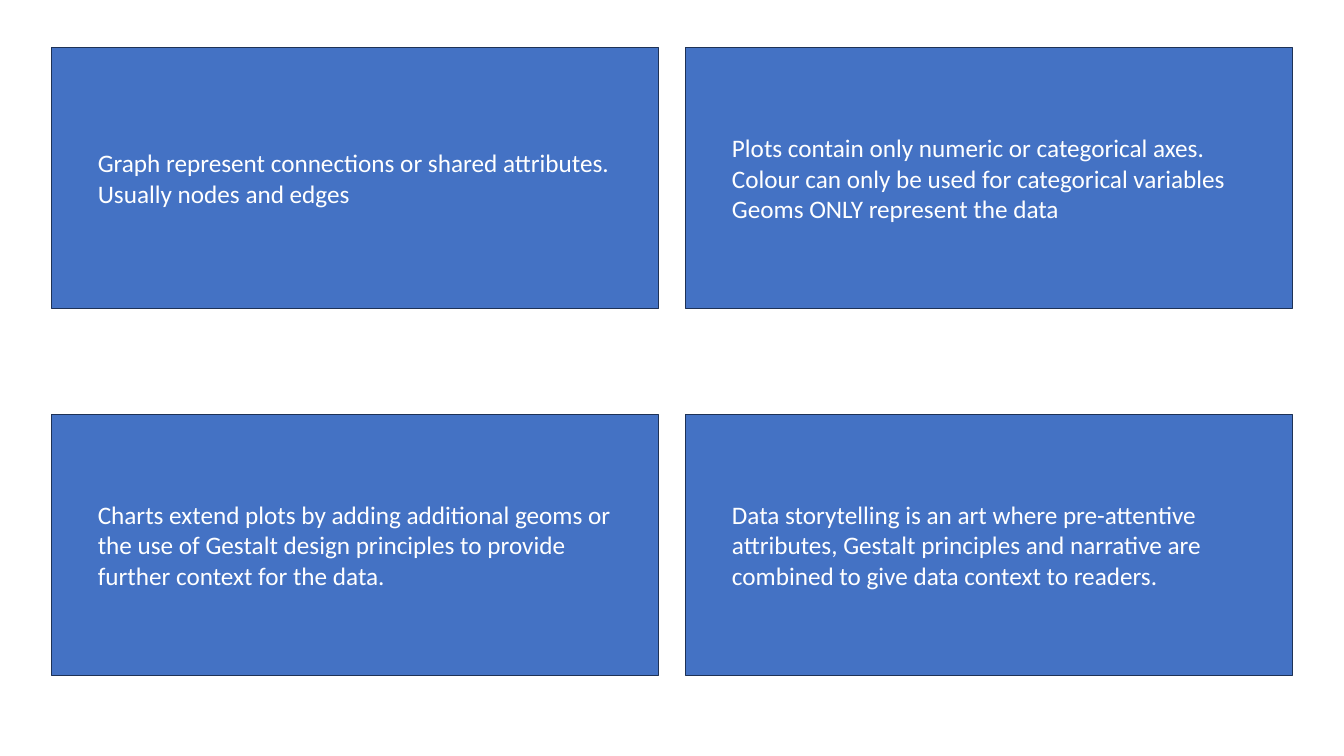
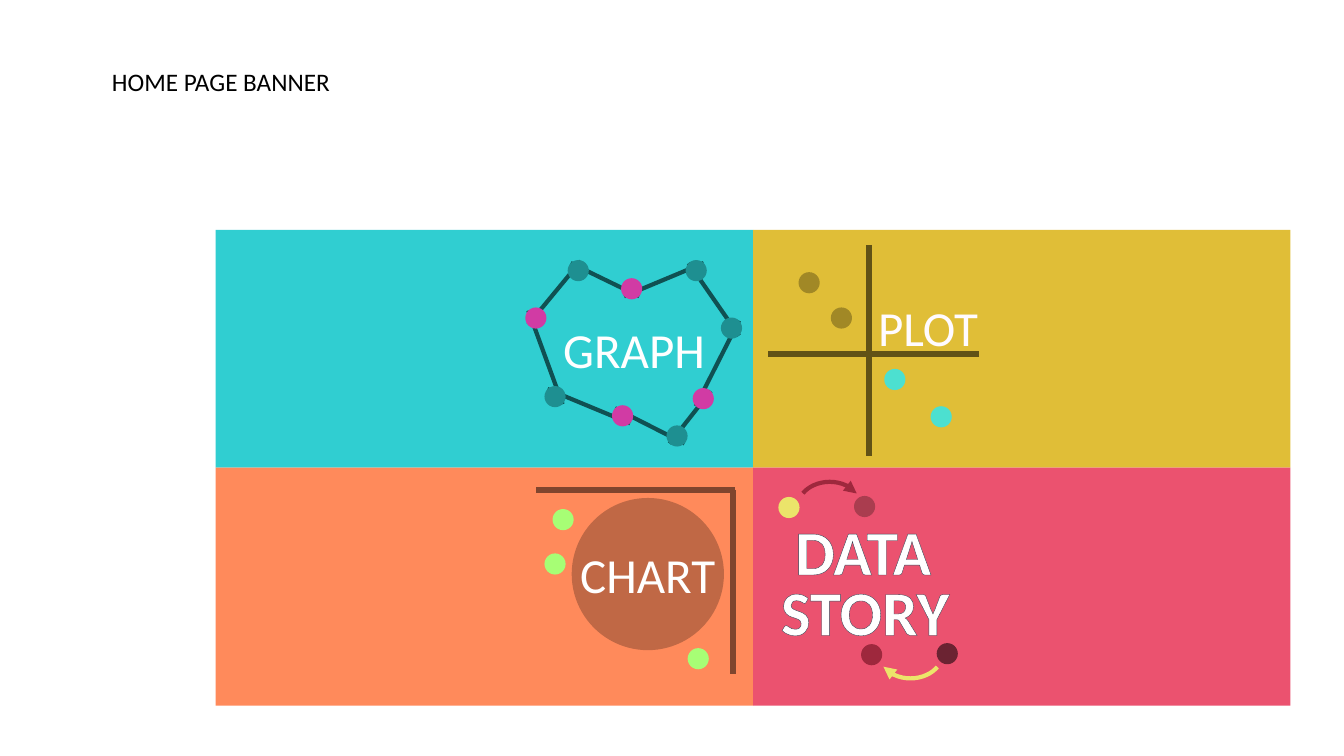
from lxml import etree
from pptx import Presentation
from pptx import util as u
from pptx.dml.color import RGBColor
from pptx.enum import dml, shapes, text
from pptx.oxml import ns

SCALE = 9144
FONT = "Calibri"
WHITE = RGBColor(0xFF, 0xFF, 0xFF)
PLOT_WHITE = RGBColor(0xFF, 0xFB, 0xFF)
BLACK = RGBColor(0x00, 0x00, 0x00)
CARD_BLUE = RGBColor(0x44, 0x72, 0xC4)
CARD_BORDER = RGBColor(0x1E, 0x32, 0x56)
TURQUOISE = RGBColor(0x30, 0xCE, 0xD1)
ORANGE = RGBColor(0xFF, 0x8A, 0x5B)
CORAL = RGBColor(0xEB, 0x52, 0x6F)
GOLD = RGBColor(0xE0, 0xBE, 0x37)
EDGE_TEAL = RGBColor(0x10, 0x50, 0x52)
NODE_TEAL = RGBColor(0x1E, 0x8F, 0x91)
NODE_PINK = RGBColor(0xD1, 0x3B, 0xA4)
AXIS_OLIVE = RGBColor(0x61, 0x52, 0x16)
POINT_OLIVE = RGBColor(0xA1, 0x88, 0x26)
POINT_AQUA = RGBColor(0x4C, 0xE0, 0xD0)
AXIS_BROWN = RGBColor(0x80, 0x45, 0x2E)
DISC_BROWN = RGBColor(0xC0, 0x68, 0x45)
POINT_LIME = RGBColor(0xA7, 0xFE, 0x75)
STORY_RED = RGBColor(0x9E, 0x28, 0x3D)
STORY_ROSE = RGBColor(0xAA, 0x3D, 0x4F)
STORY_WINE = RGBColor(0x6B, 0x23, 0x32)
STORY_YELLOW = RGBColor(0xEB, 0xE4, 0x6A)
ARROW_YELLOW = RGBColor(0xEC, 0xE4, 0x6A)
OUTLINE = RGBColor(0x33, 0x3F, 0x50)

LEFT = text.PP_ALIGN.LEFT
CENTER = text.PP_ALIGN.CENTER
TOP = text.MSO_ANCHOR.TOP
MIDDLE = text.MSO_ANCHOR.MIDDLE
RECTANGLE = shapes.MSO_SHAPE.RECTANGLE
OVAL = shapes.MSO_SHAPE.OVAL
TITLE_ONLY, BLANK = 5, 6
DOT = 21


def px(*lengths):
    return [u.Emu(length * SCALE) for length in lengths]


class Deck:
    def __init__(self):
        self.presentation = Presentation()
        self.presentation.slide_width = u.Inches(13.33)
        self.presentation.slide_height = u.Inches(7.5)
        self.slide = None

    def new_slide(self, layout):
        layouts = self.presentation.slide_layouts
        self.slide = self.presentation.slides.add_slide(layouts[layout])

    def set_text(self, shape, words, size, color, align=LEFT, anchor=TOP, bold=False):
        frame = shape.text_frame
        frame.text = words
        frame.word_wrap = True
        frame.vertical_anchor = anchor
        for paragraph in frame.paragraphs:
            paragraph.alignment = align
            for run in paragraph.runs:
                run.font.name = FONT
                run.font.size = u.Pt(size)
                run.font.bold = bold
                run.font.color.rgb = color
        return frame

    def title(self, box, words):
        title = self.slide.shapes.title
        title.left, title.top, title.width, title.height = px(*box)
        self.set_text(title, words, 18, BLACK)

    def shape(self, kind, box, fill):
        shape = self.slide.shapes.add_shape(kind, *px(*box))
        shape.shadow.inherit = False
        shape.fill.solid()
        shape.fill.fore_color.rgb = fill
        shape.line.fill.background()
        return shape

    def card(self, box, words):
        card = self.shape(RECTANGLE, box, CARD_BLUE)
        card.line.color.rgb = CARD_BORDER
        card.line.width = u.Pt(1)
        frame = self.set_text(card, words, 18, WHITE, anchor=MIDDLE)
        frame.margin_left, frame.margin_right = px(46, 46)

    def dots(self, color, places):
        for left, top in places:
            self.shape(OVAL, (left, top, DOT, DOT), color)

    def disc(self, box, words):
        disc = self.shape(OVAL, box, DISC_BROWN)
        frame = self.set_text(disc, words, 35, WHITE, CENTER, MIDDLE)
        frame.word_wrap = False
        frame.margin_left = frame.margin_right = 0
        frame.margin_top = frame.margin_bottom = 0

    def label(self, box, words, size=35, color=WHITE, bold=False):
        label = self.slide.shapes.add_textbox(*px(*box))
        return self.set_text(label, words, size, color, CENTER, bold=bold)

    def outlined_label(self, box, words):
        frame = self.label(box, words, 45, bold=True)
        font = frame.paragraphs[0].runs[0].font
        font.fill.patterned()
        font.fill.pattern = dml.MSO_PATTERN.WIDE_UPWARD_DIAGONAL
        font.fill.fore_color.rgb = STORY_ROSE
        font.fill.back_color.rgb = WHITE
        line = etree.Element(ns.qn("a:ln"), w=str(u.Pt(1)))
        solid = etree.SubElement(line, ns.qn("a:solidFill"))
        etree.SubElement(solid, ns.qn("a:srgbClr"), val=str(OUTLINE))
        properties = next(frame.paragraphs[0].runs[0].font.fill and
                          shape.iter(ns.qn("a:rPr"))
                          for shape in [self.slide.shapes[-1].element])
        next(properties).insert(0, line)

    def lines(self, color, width, ends):
        for points in ends:
            line = self.slide.shapes.add_connector(
                shapes.MSO_CONNECTOR.STRAIGHT, *px(*points))
            line.line.color.rgb = color
            line.line.width = u.Pt(width)
            etree.SubElement(line.element.spPr, ns.qn("a:effectLst"))

    def curved_arrow(self, box, color, rotation=0):
        arc = self.shape(shapes.MSO_SHAPE.ARC, box, color)
        arc.fill.background()
        arc.adjustments[0] = 124.85
        arc.adjustments[1] = 199.53
        arc.rotation = rotation
        arc.line.color.rgb = color
        arc.line.width = u.Pt(3)
        line = arc.element.spPr.find(ns.qn("a:ln"))
        etree.SubElement(line, ns.qn("a:tailEnd"), type="triangle")


def definitions(deck):
    deck.new_slide(BLANK)
    cards = [
        "Graph represent connections or shared attributes.\nUsually nodes and edges",
        "Plots contain only numeric or categorical axes.\n"
        "Colour can only be used for categorical variables\n"
        "Geoms ONLY represent the data",
        "Charts extend plots by adding additional geoms or the use of Gestalt "
        "design principles to provide further context for the data.",
        "Data storytelling is an art where pre-attentive attributes, Gestalt "
        "principles and narrative are combined to give data context to readers.",
    ]
    for index, words in enumerate(cards):
        row, column = divmod(index, 2)
        deck.card((51 + 629 * column, 47 + 364 * row, 602, 259), words)


def graph(deck):
    deck.label((519, 312, 220, 69), "GRAPH")
    deck.lines(EDGE_TEAL, 3, [
        (524, 322, 576, 259), (619, 294, 698, 261), (566, 261, 634, 294),
        (733, 333, 683, 261), (558, 401, 524, 308), (625, 420, 543, 386),
        (679, 440, 610, 405), (664, 440, 705, 388), (690, 403, 733, 318)])
    deck.dots(NODE_TEAL, [(563, 258), (680, 258), (540, 383), (661, 422), (715, 315)])
    deck.dots(NODE_PINK, [(616, 276), (687, 385), (607, 402), (521, 305)])


def plot(deck):
    deck.lines(AXIS_OLIVE, 4.5, [(862, 243, 862, 452), (971, 351, 762, 351)])
    deck.label((858, 290, 125, 69), "PLOT", color=PLOT_WHITE)
    deck.dots(POINT_OLIVE, [(824, 305), (792, 270)])
    deck.dots(POINT_AQUA, [(877, 366), (923, 403)])


def chart(deck):
    deck.lines(AXIS_BROWN, 4.5, [(727, 486, 727, 669), (729, 486, 532, 486)])
    deck.disc((567, 494, 151, 151), "CHART")
    deck.dots(POINT_LIME, [(540, 549), (682, 643), (548, 505)])


def data_story(deck):
    deck.curved_arrow((791, 478, 64, 51), STORY_RED)
    deck.curved_arrow((871, 622, 64, 51), ARROW_YELLOW, 180)
    deck.dots(STORY_YELLOW, [(772, 493)])
    deck.dots(STORY_ROSE, [(847, 492)])
    deck.dots(STORY_WINE, [(929, 638)])
    deck.dots(STORY_RED, [(854, 639)])
    deck.outlined_label((745, 503, 222, 86), "DATA")
    deck.outlined_label((748, 563, 220, 86), "STORY")


def banner(deck):
    deck.new_slide(TITLE_ONLY)
    deck.title((101, 61, 442, 40), "HOME PAGE BANNER")
    for index, color in enumerate([TURQUOISE, GOLD, ORANGE, CORAL]):
        row, column = divmod(index, 2)
        deck.shape(RECTANGLE, (214 + 533 * column, 228 + 236 * row, 533, 236), color)
    for illustration in (graph, plot, chart, data_story):
        illustration(deck)


def main():
    deck = Deck()
    definitions(deck)
    banner(deck)
    deck.presentation.save("out.pptx")


if __name__ == "__main__":
    main()
